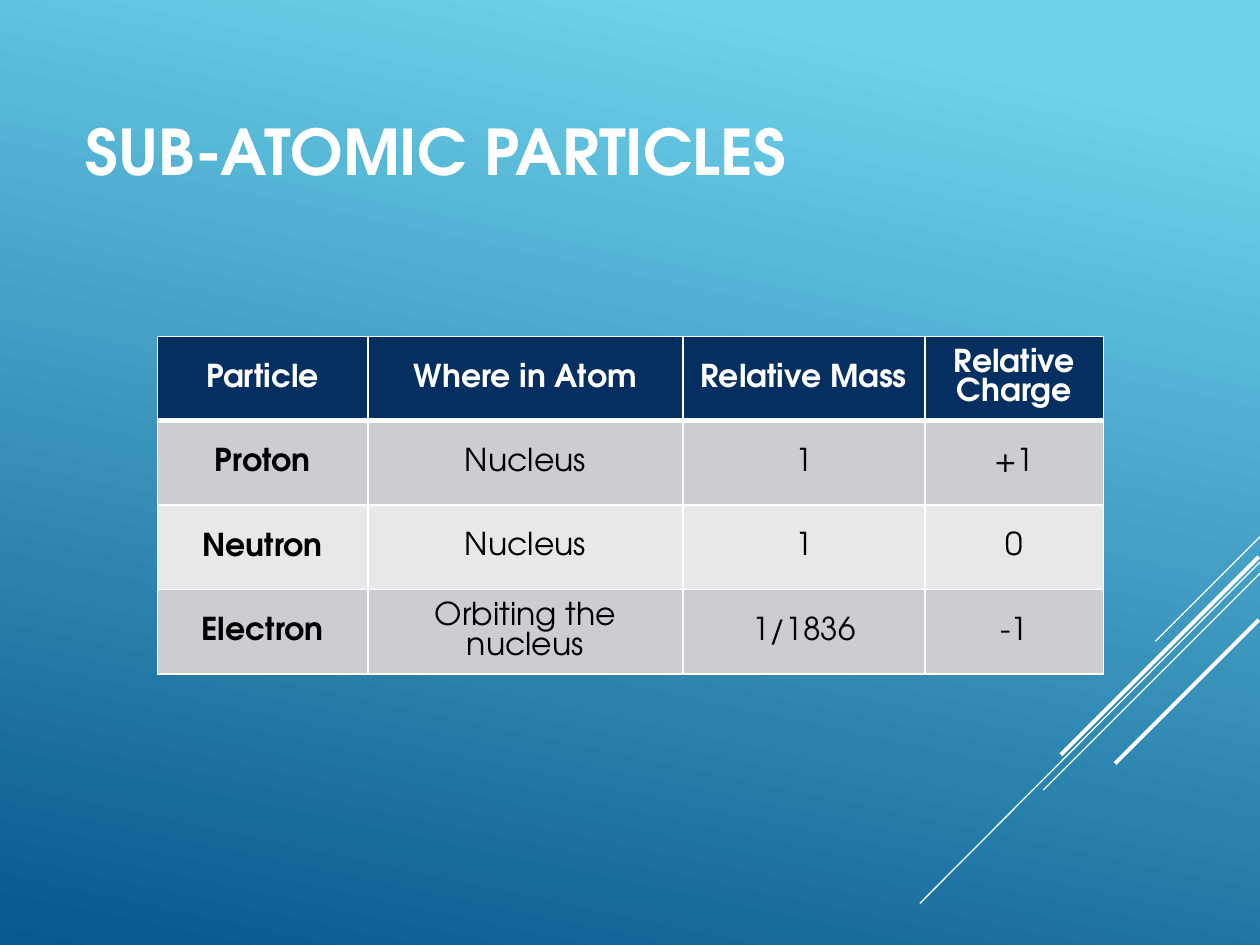
"""Build a slide with a table of the sub-atomic particles."""
from lxml import etree
from pptx import Presentation
from pptx.dml.color import RGBColor
from pptx.enum import shapes, text
from pptx.oxml.ns import qn
from pptx.util import Inches, Pt

FONT = "TeX Gyre Adventor"
COLORS = {"sky": "6ED2EB", "deep": "06588E", "white": "FFFFFF", "black": "000000",
          "header": "052F61", "odd": "CCCDD2", "even": "E7E8EA"}
TITLE = "SUB-ATOMIC PARTICLES"
ROWS = [
    ("Particle", "Where in Atom", "Relative Mass", "Relative Charge"),
    ("Proton", "Nucleus", "1", "+1"),
    ("Neutron", "Nucleus", "1", "0"),
    ("Electron", "Orbiting the nucleus", "1/1836", "-1"),
]
COL_WIDTHS = (1.67, 2.5, 1.92, 1.42)
ROW_HEIGHT = 0.67
LINES = [
    (10, 4.26, 9.17, 5.09, 0.75),
    (10, 4.46, 7.3, 7.17, 0.75),
    (10, 4.55, 8.28, 6.27, 0.75),
    (9.99, 4.42, 8.42, 5.99, 2.25),
    (9.99, 4.92, 8.85, 6.06, 2.25),
]


def rgb(name):
    return RGBColor.from_string(COLORS[name])


def write(p, words, size, color, bold):
    r = p.add_run()
    r.text = words
    r.font.name, r.font.size, r.font.bold = FONT, Pt(size), bold
    r.font.color.rgb = rgb(color)


def set_background(s):
    fill = s.background.fill
    fill.gradient()
    fill.gradient_angle = 360 - 102
    for stop, position, color in zip(fill.gradient_stops, (0.1, 1), ("sky", "deep")):
        stop.position = position
        stop.color.rgb = rgb(color)


def add_line(s, x1, y1, x2, y2, width):
    sp = s.shapes.add_connector(shapes.MSO_CONNECTOR.STRAIGHT,
                                *map(Inches, (x1, y1, x2, y2)))
    sp.line.color.rgb = rgb("white")
    sp.line.width = Pt(width)
    etree.SubElement(sp._element.spPr, qn("a:effectLst"))


def set_title(s):
    sp = s.shapes.title
    sp.left, sp.top, sp.width, sp.height = map(Inches, (0.58, 0.62, 9, 1.15))
    tf = sp.text_frame
    tf.word_wrap = True
    tf.vertical_anchor = text.MSO_ANCHOR.MIDDLE
    p = tf.paragraphs[0]
    p.alignment = text.PP_ALIGN.LEFT
    write(p, TITLE, 36, "white", True)


def set_borders(cell, widths):
    tc_pr = cell._tc.get_or_add_tcPr()
    for i, (side, width) in enumerate(widths.items()):
        ln = etree.Element(qn(f"a:ln{side}"), w=str(Pt(width)))
        fill = etree.SubElement(ln, qn("a:solidFill"))
        etree.SubElement(fill, qn("a:srgbClr"), val=COLORS["white"])
        tc_pr.insert(i, ln)


def add_particle_table(s):
    table = s.shapes.add_table(len(ROWS), len(COL_WIDTHS), Inches(1.25), Inches(2.67),
                               Inches(sum(COL_WIDTHS)),
                               Inches(ROW_HEIGHT * len(ROWS))).table
    for column, width in zip(table.columns, COL_WIDTHS):
        column.width = Inches(width)
    for i, row in enumerate(ROWS):
        table.rows[i].height = Inches(ROW_HEIGHT)
        fill = "header" if i == 0 else "odd" if i % 2 else "even"
        for j, words in enumerate(row):
            cell = table.cell(i, j)
            cell.fill.solid()
            cell.fill.fore_color.rgb = rgb(fill)
            cell.vertical_anchor = text.MSO_ANCHOR.MIDDLE
            set_borders(cell, {"L": 1, "R": 1, "T": 3 if i == 1 else 1,
                               "B": 3 if i == 0 else 1})
            p = cell.text_frame.paragraphs[0]
            p.alignment = text.PP_ALIGN.CENTER
            write(p, words, 18, "black" if i else "white", i == 0 or j == 0)


def main():
    prs = Presentation()
    prs.slide_width, prs.slide_height = Inches(10), Inches(7.5)
    s = prs.slides.add_slide(prs.slide_layouts[5])
    set_background(s)
    for line in LINES:
        add_line(s, *line)
    set_title(s)
    add_particle_table(s)
    prs.save("out.pptx")


if __name__ == "__main__":
    main()
